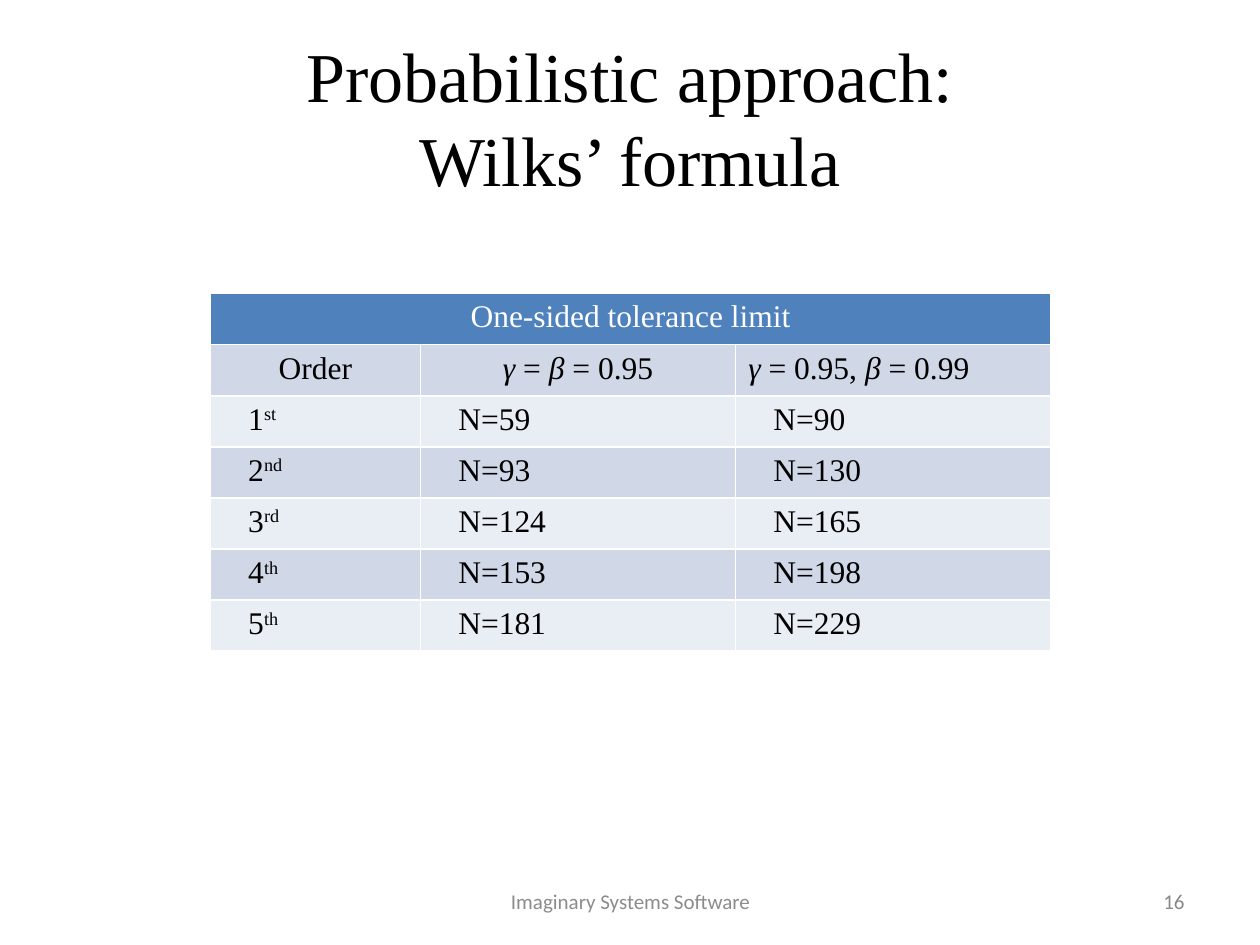
from pptx import Presentation
from pptx.dml.color import RGBColor
from pptx.enum.text import MSO_ANCHOR, PP_ALIGN
from pptx.util import Inches, Pt

COLORS = {
    "title": "000000",
    "header": "4F81BD",
    "header_text": "FFFFFF",
    "band_dark": "D0D8E8",
    "band_light": "E9EDF4",
    "footer": "8C8C8C",
    "number": "898989",
}
SERIF, SANS = "Times New Roman", "Calibri"
HEADINGS = [
    ([("Order", "")], PP_ALIGN.CENTER),
    ([("γ", "italic"), (" = ", ""), ("β ", "italic"), ("= 0.95", "")], PP_ALIGN.CENTER),
    ([("γ", "italic"), (" = 0.95, ", ""), ("β ", "italic"), ("= 0.99", "")], PP_ALIGN.LEFT),
]
SAMPLE_SIZES = [
    ("1", "st", 59, 90),
    ("2", "nd", 93, 130),
    ("3", "rd", 124, 165),
    ("4", "th", 153, 198),
    ("5", "th", 181, 229),
]


def style_paragraph(paragraph, font_name, size, color, align):
    """Set the font and alignment of a whole paragraph."""
    paragraph.alignment = align
    font = paragraph.font
    font.name, font.size, font.bold = font_name, Pt(size), False
    font.color.rgb = RGBColor.from_string(COLORS[color])


def add_title(slide, left, top, width, height):
    """Fill and place the title placeholder."""
    title = slide.shapes.title
    title.left, title.top, title.width, title.height = left, top, width, height
    title.text_frame.text = "Probabilistic approach:\vWilks’ formula"
    title.text_frame.vertical_anchor = MSO_ANCHOR.MIDDLE
    style_paragraph(title.text_frame.paragraphs[0], SERIF, 40, "title", PP_ALIGN.CENTER)


def fill_cell(cell, runs, fill, color="title", align=PP_ALIGN.LEFT, indent=0):
    """Write styled runs into a table cell and colour it."""
    cell.fill.solid()
    cell.fill.fore_color.rgb = RGBColor.from_string(COLORS[fill])
    paragraph = cell.text_frame.paragraphs[0]
    style_paragraph(paragraph, SERIF, 18, color, align)
    if indent:
        properties = paragraph._p.get_or_add_pPr()
        properties.set("marL", str(indent))
        properties.set("indent", "0")
    for text, style in runs:
        run = paragraph.add_run()
        run.text = text
        if style == "italic":
            run.font.italic = True
        elif style == "superscript":
            run.font._element.set("baseline", "30000")


def add_tolerance_table(slide, left, top, width, height):
    """Add the table of sample sizes by order."""
    row_count = len(SAMPLE_SIZES) + 2
    table = slide.shapes.add_table(row_count, 3, left, top, width, height).table
    for column, share in zip(table.columns, (2, 3, 3)):
        column.width = int(width * share / 8)
    table.cell(0, 0).merge(table.cell(0, 2))
    fill_cell(table.cell(0, 0), [("One-sided tolerance limit", "")],
              "header", "header_text", PP_ALIGN.CENTER)
    for column, (runs, align) in enumerate(HEADINGS):
        fill_cell(table.cell(1, column), runs, "band_dark", align=align)
    for row, (order, suffix, *sizes) in enumerate(SAMPLE_SIZES, start=2):
        fill = "band_dark" if row % 2 else "band_light"
        contents = [[(order, ""), (suffix, "superscript")]]
        contents += [[(f"N={size}", "")] for size in sizes]
        for column, runs in enumerate(contents):
            fill_cell(table.cell(row, column), runs, fill, indent=Inches(0.2))


def add_footer_text(slide, left, top, width, height, text, color, align):
    """Add one line of footer text."""
    frame = slide.shapes.add_textbox(left, top, width, height).text_frame
    frame.word_wrap = True
    frame.vertical_anchor = MSO_ANCHOR.MIDDLE
    frame.text = text
    style_paragraph(frame.paragraphs[0], SANS, 12, color, align)


def main():
    """Build the slide and save it."""
    presentation = Presentation()
    presentation.slide_width, presentation.slide_height = Inches(10), Inches(7.5)
    slide = presentation.slides.add_slide(presentation.slide_layouts[5])
    add_title(slide, Inches(0.5), Inches(0.3), Inches(9), Inches(1.25))
    add_tolerance_table(slide, Inches(1.67), Inches(2.33), Inches(6.67), Inches(2.84))
    add_footer_text(slide, Inches(3.42), Inches(6.95), Inches(3.17), Inches(0.4),
                    "Imaginary Systems Software", "footer", PP_ALIGN.CENTER)
    add_footer_text(slide, Inches(7.17), Inches(6.95), Inches(2.33), Inches(0.4),
                    "16", "number", PP_ALIGN.RIGHT)
    presentation.save("out.pptx")


if __name__ == "__main__":
    main()
